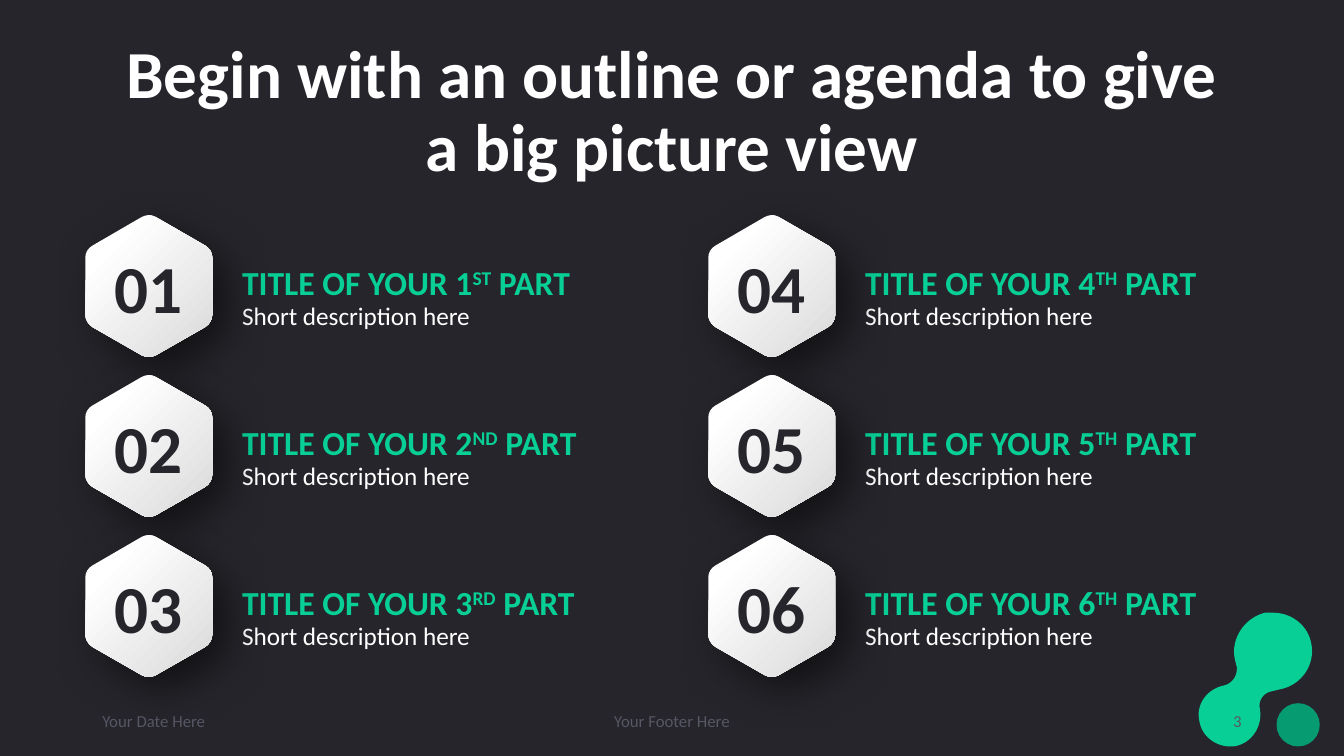
from pptx import Presentation
from pptx.dml.color import RGBColor
from pptx.enum.shapes import MSO_SHAPE
from pptx.enum.text import MSO_ANCHOR, MSO_AUTO_SIZE, PP_ALIGN
from pptx.oxml import parse_xml
from pptx.oxml.ns import qn
from pptx.util import Cm, Pt

rgb = RGBColor.from_string
DARK, WHITE, GREEN, GREY = "25252B", "FFFFFF", "08CF96", "575765"


def write(sp, text, size, color, bold=False, align=PP_ALIGN.LEFT,
          anchor=MSO_ANCHOR.MIDDLE, margins=(0.25, 0.13, 0.25, 0.13),
          spacing=None, grow=False):
    """Fill a shape with one paragraph; text between ^ marks is superscript."""
    tf = sp.text_frame
    tf.word_wrap = True
    tf.auto_size = MSO_AUTO_SIZE.SHAPE_TO_FIT_TEXT if grow else MSO_AUTO_SIZE.NONE
    tf.vertical_anchor = anchor
    tf.margin_left, tf.margin_top, tf.margin_right, tf.margin_bottom = map(Cm, margins)
    p = tf.paragraphs[0]
    p.alignment = align
    p.line_spacing = spacing
    for i, part in enumerate(text.split("^")):
        r = p.add_run()
        r.text = part
        r.font.name, r.font.size, r.font.bold = "Calibri", Pt(size), bold
        r.font.color.rgb = rgb(color)
        if i % 2:
            r._r.get_or_add_rPr().set("baseline", "30000")


def add_outline(shapes, start, steps, left=0, top=0):
    """Draw a closed outline: a pair is a line, six numbers are a Bézier curve."""
    points = [start] + [step[i:i + 2] for step in steps for i in range(0, len(step), 2)]
    points = [(Cm(left + x), Cm(top + y)) for x, y in points]
    builder = shapes.build_freeform(*points[0])
    builder.add_line_segments(points[1:], close=True)
    sp = builder.convert_to_shape()
    # Join the three points of each curve into one Bézier segment
    segments = iter(list(sp._element.iter(qn("a:lnTo"))))
    for step in steps:
        parts = [next(segments) for _ in range(len(step) // 2)]
        if len(parts) == 3:
            curve = parts[0].makeelement(qn("a:cubicBezTo"))
            parts[0].addprevious(curve)
            for part in parts:
                curve.append(part[0])
                part.getparent().remove(part)
    sp.line.fill.background()
    sp.shadow.inherit = False
    return sp


prs = Presentation()
prs.slide_width, prs.slide_height = Cm(33.87), Cm(19.05)
s = prs.slides.add_slide(prs.slide_layouts[5])
s.background.fill.solid()
s.background.fill.fore_color.rgb = rgb(DARK)

# Corner decoration
blob = add_outline(s.shapes, (33.05, 16.23), [
    (33.15, 16.76, 32.79, 17.27, 32.26, 17.37), (32.05, 17.42),
    (31.85, 17.45, 31.7, 17.65, 31.75, 17.86),
    (31.83, 18.29, 31.55, 18.72, 31.14, 18.8),
    (30.71, 18.87, 30.3, 18.59, 30.23, 18.19),
    (30.12, 17.75, 30.43, 17.35, 30.86, 17.27),
    (31.06, 17.22, 31.19, 17.02, 31.17, 16.81), (31.12, 16.61),
    (31.01, 16.1, 31.36, 15.57, 31.88, 15.44),
    (31.95, 15.44, 32.03, 15.44, 32.08, 15.44),
    (32.56, 15.44, 32.97, 15.77, 33.05, 16.23)])
dot = s.shapes.add_shape(MSO_SHAPE.OVAL, Cm(32.17), Cm(17.72), Cm(1.09), Cm(1.09))
dot.line.fill.background()
dot.shadow.inherit = False
for sp, color in ((blob, GREEN), (dot, "069B71")):
    sp.fill.solid()
    sp.fill.fore_color.rgb = rgb(color)

# Title
title = s.shapes.title
title.left, title.top, title.width, title.height = Cm(2.33), Cm(1.01), Cm(29.21), Cm(3.68)
write(title, "Begin with an outline or agenda to give a big picture view", 48, WHITE,
      bold=True, align=PP_ALIGN.CENTER, spacing=0.9)

# Date, footer and slide number
for text, left, width, align in (("Your Date Here", 2.33, 7.62, PP_ALIGN.LEFT),
                                 ("Your Footer Here", 11.22, 11.43, PP_ALIGN.CENTER),
                                 ("3", 23.92, 7.62, PP_ALIGN.RIGHT)):
    sp = s.shapes.add_textbox(Cm(left), Cm(17.66), Cm(width), Cm(1.01))
    write(sp, text, 12, GREY, align=align)

# Agenda: three rows in two columns
HEXAGON = [
    (1.66, 0, 1.72, 0.02, 1.78, 0.05), (3.02, 0.77),
    (3.13, 0.83, 3.2, 0.95, 3.2, 1.07), (3.2, 2.5),
    (3.2, 2.63, 3.13, 2.75, 3.02, 2.82), (1.78, 3.53),
    (1.67, 3.59, 1.53, 3.59, 1.42, 3.53), (0.18, 2.82),
    (0.07, 2.75, 0, 2.63, 0, 2.5), (0, 1.07),
    (0, 0.95, 0.07, 0.83, 0.18, 0.77), (1.42, 0.05),
    (1.48, 0.02, 1.54, 0, 1.6, 0)]
SHADOW = ('<a:outerShdw xmlns:a="http://schemas.openxmlformats.org/drawingml/2006/main" '
          'blurRad="381000" dist="177800" dir="2700000" algn="tl" rotWithShape="0">'
          '<a:srgbClr val="000000"><a:alpha val="50000"/></a:srgbClr></a:outerShdw>')

for i, ordinal in enumerate(("ST", "ND", "RD", "TH", "TH", "TH")):
    column, row = divmod(i, 3)
    left, top = 2.15 + 15.7 * column, 5.42 + 4.03 * row

    heading = s.shapes.add_textbox(Cm(left + 3.7), Cm(top + 0.66), Cm(9.22), Cm(1.54))
    write(heading, f"TITLE OF YOUR {i + 1}^{ordinal}^ PART", 24, GREEN, bold=True,
          anchor=MSO_ANCHOR.BOTTOM, margins=(0.25, 0.51, 0.25, 0), grow=True)
    description = s.shapes.add_textbox(Cm(left + 3.7), Cm(top + 2.15), Cm(9.22), Cm(0.77))
    write(description, "Short description here", 18, WHITE,
          anchor=MSO_ANCHOR.TOP, margins=(0.25, 0, 0.25, 0), grow=True)

    badge = add_outline(s.shapes, (1.6, 0), HEXAGON, left, top)
    badge.fill.gradient()
    badge.fill.gradient_angle = 315
    for stop, position, color in zip(badge.fill.gradient_stops, (0.2, 1), (WHITE, "DAD9D9")):
        stop.position = position
        stop.color.rgb = rgb(color)
    badge._element.spPr.find(qn("a:effectLst")).append(parse_xml(SHADOW))
    write(badge, f"{i + 1:02}", 48, DARK, bold=True, align=PP_ALIGN.CENTER,
          margins=(0.15, 0.08, 0.15, 0.08))

prs.save("out.pptx")
